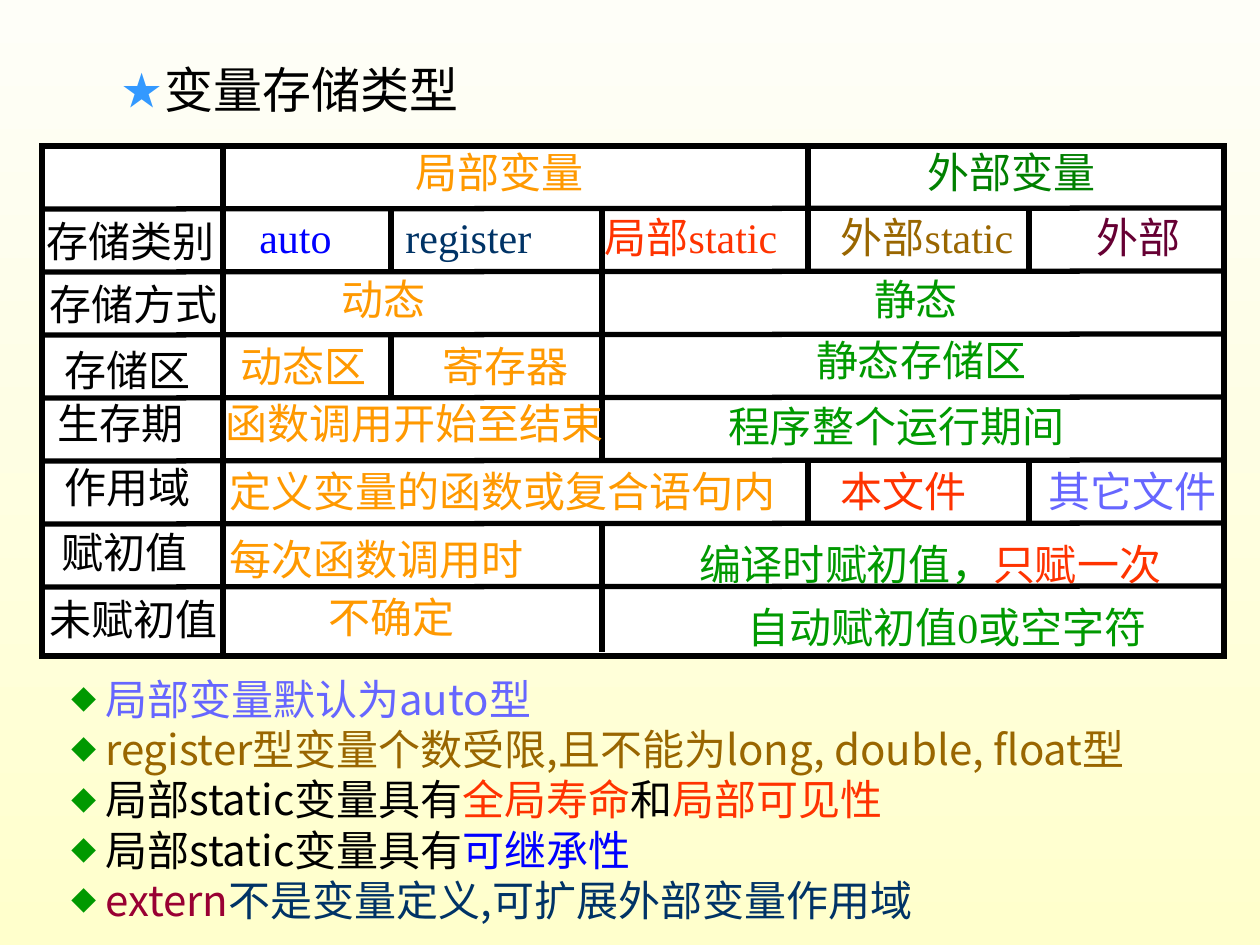
from dataclasses import dataclass

from lxml.etree import SubElement
from pptx import Presentation
from pptx.dml.color import RGBColor
from pptx.enum.shapes import MSO_CONNECTOR as CONN, MSO_SHAPE as SHAPE
from pptx.enum.text import MSO_ANCHOR as ANCHOR, MSO_AUTO_SIZE as AUTO, PP_ALIGN as ALIGN
from pptx.oxml.ns import qn
from pptx.util import Emu, Pt

PX_PER_INCH = 126


def px(n: int) -> Emu:
    return Emu(round(n * 914400 / PX_PER_INCH))


@dataclass(frozen=True)
class Theme:
    black: str = "000000"
    white: str = "FFFFFF"
    paper_top: str = "FEFEF8"
    paper_bottom: str = "FFFFCC"
    star: str = "3399FF"
    orange: str = "FF9900"
    green: str = "009900"
    dark_green: str = "008000"
    red: str = "FF3300"
    blue: str = "0000FF"
    navy: str = "003366"
    brown: str = "996600"
    plum: str = "660033"
    crimson: str = "990033"
    violet: str = "6666FF"
    serif: str = "Times New Roman"
    sans: str = "Noto Sans CJK SC"
    title_size: int = 28
    body_size: int = 24
    rule_width: int = 3


T = Theme()
Runs = list[tuple[str, str]]


@dataclass(frozen=True)
class Label:
    left: int
    top: int
    width: int
    text: str
    color: str
    tail: str = ""
    tail_color: str = ""


@dataclass(frozen=True)
class Bullet:
    char: str
    color: str
    margin: int
    indent: int
    percent: int


STAR = Bullet("★", T.star, 107, -42, 80)
DIAMOND = Bullet("◆", T.green, 42, -34, 60)

# Table grid: frame, row pitch and the column dividers found in each row
LEFT, TOP, WIDTH, HEIGHT = 42, 146, 1182, 510
ROW, HEAD_X = 63, 223
DIVIDERS = [
    (808,),
    (391, 602, 808, 1029),
    (602,),
    (391, 602),
    (602,),
    (808, 1029),
    (602,),
    (602,),
]

LABELS = [
    # Column groups
    Label(403, 140, 193, "局部变量", T.orange),
    Label(915, 140, 193, "外部变量", T.dark_green),
    # Storage class
    Label(34, 209, 193, "存储类别", T.black),
    Label(247, 205, 97, "auto", T.blue),
    Label(393, 205, 151, "register", T.navy),
    Label(587, 205, 208, "局部static", T.red),
    Label(823, 205, 208, "外部static", T.brown),
    Label(1085, 205, 108, "外部", T.plum),
    # Storage mode
    Label(37, 272, 193, "存储方式", T.black),
    Label(330, 267, 108, "动态", T.orange),
    Label(862, 267, 108, "静态", T.green),
    # Storage area
    Label(52, 338, 151, "存储区", T.black),
    Label(228, 334, 151, "动态区", T.orange),
    Label(430, 334, 151, "寄存器", T.orange),
    Label(804, 328, 234, "静态存储区", T.green),
    # Lifetime
    Label(45, 391, 151, "生存期", T.black),
    Label(213, 391, 403, "函数调用开始至结束", T.orange),
    Label(716, 394, 360, "程序整个运行期间", T.green),
    # Scope
    Label(52, 455, 151, "作用域", T.black),
    Label(217, 459, 571, "定义变量的函数或复合语句内", T.orange),
    Label(828, 459, 151, "本文件", T.red),
    Label(1036, 459, 193, "其它文件", T.violet),
    # Initial value
    Label(49, 520, 151, "赋初值", T.black),
    Label(217, 527, 319, "每次函数调用时", T.orange),
    Label(687, 532, 486, "编译时赋初值，", T.green, "只赋一次", T.red),
    # Without initial value
    Label(37, 587, 193, "未赋初值", T.black),
    Label(316, 585, 151, "不确定", T.orange),
    Label(725, 595, 444, "自动赋初值0或空字符", T.green),
]

NOTES: list[Runs] = [
    [("局部变量默认为auto型", T.violet)],
    [("register型变量个数受限,且不能为long, double, float型", T.brown)],
    [("局部static变量具有", T.black), ("全局寿命", T.red),
     ("和", T.black), ("局部可见性", T.red)],
    [("局部static变量具有", T.black), ("可继承性", T.blue)],
    [("extern", T.crimson), ("不是变量定义,可扩展外部变量作用域", T.navy)],
]


def rgb(color: str) -> RGBColor:
    return RGBColor.from_string(color)


def add_box(slide, left: int, top: int, width: int, height: int):
    tf = slide.shapes.add_textbox(px(left), px(top), px(width), px(height)).text_frame
    tf.word_wrap = True
    return tf


def write(p, runs: Runs, size: int, font: str) -> None:
    p.text = runs[0][0]
    for text, _ in runs[1:]:
        p.add_run().text = text
    for r, (_, color) in zip(p.runs, runs):
        r.font.size, r.font.name = Pt(size), font
        r.font.color.rgb = rgb(color)


def set_bullet(p, bullet: Bullet) -> None:
    pPr = p._p.get_or_add_pPr()
    pPr.set("marL", str(px(bullet.margin)))
    pPr.set("indent", str(px(bullet.indent)))
    SubElement(SubElement(pPr, qn("a:buClr")), qn("a:srgbClr")).set("val", bullet.color)
    SubElement(pPr, qn("a:buSzPct")).set("val", str(bullet.percent * 1000))
    SubElement(pPr, qn("a:buFont")).set("typeface", T.sans)
    SubElement(pPr, qn("a:buChar")).set("char", bullet.char)


def add_rule(slide, x1: int, y1: int, x2: int, y2: int) -> None:
    line = slide.shapes.add_connector(CONN.STRAIGHT, px(x1), px(y1), px(x2), px(y2))
    line.line.color.rgb = rgb(T.black)
    line.line.width = Pt(T.rule_width)
    SubElement(line._element.spPr, qn("a:effectLst"))


def add_grid(slide) -> None:
    sp = slide.shapes.add_shape(SHAPE.RECTANGLE, px(LEFT), px(TOP), px(WIDTH), px(HEIGHT))
    sp.shadow.inherit = False
    sp.fill.solid()
    sp.fill.fore_color.rgb = rgb(T.white)
    sp.line.color.rgb = rgb(T.black)
    sp.line.width = Pt(T.rule_width)
    SubElement(sp.line._get_or_add_ln(), qn("a:miter")).set("lim", "800000")
    add_rule(slide, HEAD_X, TOP, HEAD_X, TOP + HEIGHT - 2)
    for row, columns in enumerate(DIVIDERS):
        y = TOP + row * ROW
        if row:  # row rules rise slightly to the right
            add_rule(slide, LEFT, y, LEFT + WIDTH, y - 1)
        for x in columns:
            add_rule(slide, x, y, x, y + ROW + 2)


def add_label(slide, label: Label) -> None:
    tf = add_box(slide, label.left, label.top, label.width, ROW)
    tf.margin_left = tf.margin_right = 0
    tf.auto_size = AUTO.NONE
    tf.vertical_anchor = ANCHOR.MIDDLE
    p = tf.paragraphs[0]
    p.alignment = ALIGN.CENTER
    runs = [(label.text, label.color)]
    if label.tail:
        runs.append((label.tail, label.tail_color))
    write(p, runs, T.body_size, T.serif)


def main() -> None:
    prs = Presentation()
    prs.slide_width, prs.slide_height = px(1260), px(945)
    slide = prs.slides.add_slide(prs.slide_layouts[6])

    # Background
    fill = slide.background.fill
    fill.gradient()
    fill.gradient_angle = 270
    for stop, color in zip(fill.gradient_stops, (T.paper_top, T.paper_bottom)):
        stop.color.rgb = rgb(color)

    # Title
    p = add_box(slide, 45, 53, 1168, 100).paragraphs[0]
    set_bullet(p, STAR)
    write(p, [("变量存储类型", T.black)], T.title_size, T.serif)

    # Table
    add_grid(slide)
    for label in LABELS:
        add_label(slide, label)

    # Notes
    tf = add_box(slide, 51, 667, 1209, 265)
    for i, runs in enumerate(NOTES):
        p = tf.add_paragraph() if i else tf.paragraphs[0]
        set_bullet(p, DIAMOND)
        write(p, runs, T.body_size, T.sans)

    prs.save("out.pptx")


if __name__ == "__main__":
    main()
